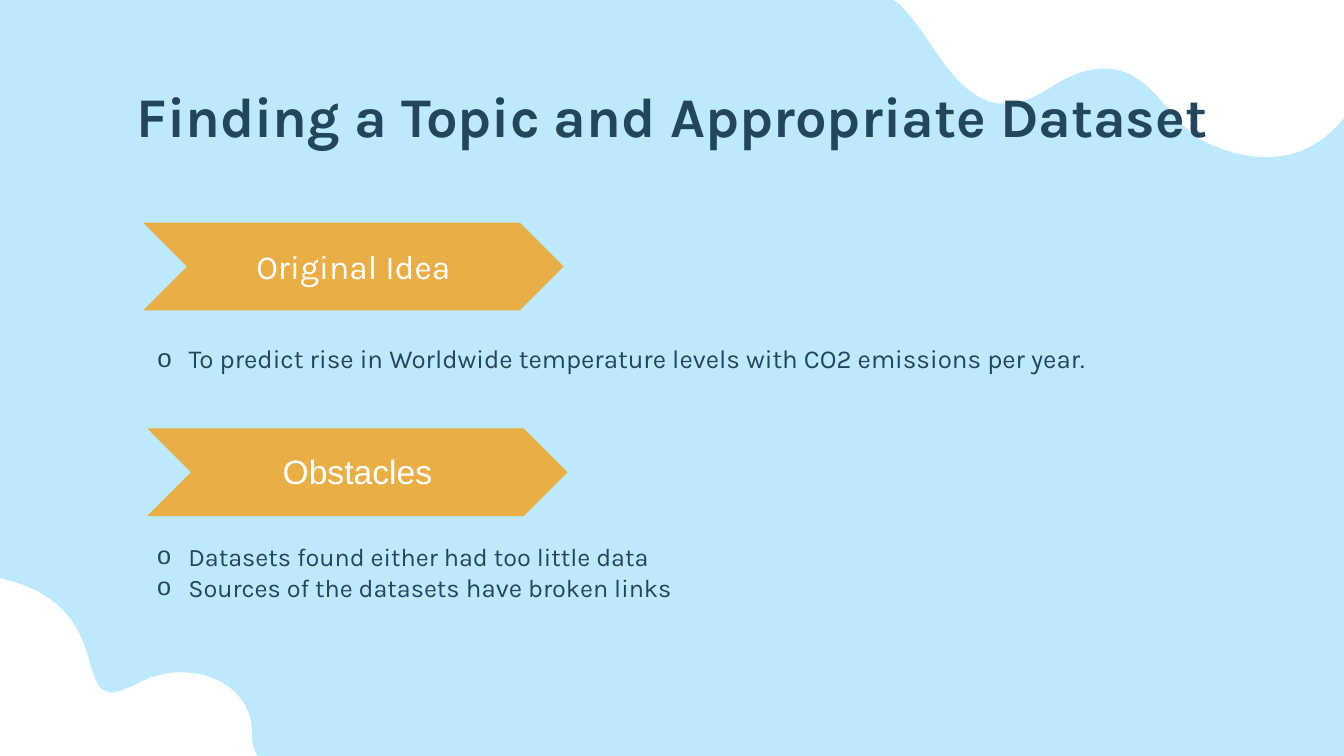
from lxml import etree
from pptx import Presentation
from pptx.dml.color import RGBColor
from pptx.enum.shapes import MSO_SHAPE
from pptx.enum.text import MSO_ANCHOR, MSO_AUTO_SIZE, PP_ALIGN
from pptx.oxml.ns import qn
from pptx.util import Inches, Pt

CHEVRON = MSO_SHAPE.CHEVRON
MIDDLE = MSO_ANCHOR.MIDDLE
NO_AUTOFIT = MSO_AUTO_SIZE.NONE
CENTER = PP_ALIGN.CENTER
LEFT = PP_ALIGN.LEFT
TITLE_ONLY = 5
SKY, NAVY, AMBER, WHITE = "BDE9FC", "23455E", "E9AF46", "FFFFFF"
BULLET_INDENT = 0.31

TOP_CLOUD_START = (12.56, 1.56)
TOP_CLOUD = [
    [(13.6, 1.56), (13.79, 0), (13.79, 0)],
    [(8.86, 0)],
    [(8.87, 0), (8.96, 0.03), (9.24, 0.45)],
    [(9.48, 0.82), (9.7, 1.03), (9.97, 1.03)],
    [(10.1, 1.03), (10.24, 0.98), (10.4, 0.88)],
    [(10.62, 0.73), (10.81, 0.68), (10.96, 0.68)],
    [(11.44, 0.68), (11.61, 1.25), (11.96, 1.41)],
    [(12.19, 1.52), (12.39, 1.56), (12.56, 1.56)],
]
BOTTOM_CLOUD_START = (-0.88, 5.65)
BOTTOM_CLOUD = [
    [(-1.29, 5.65), (-1.62, 5.7), (-1.62, 5.7)],
    [(-0.62, 7.94)],
    [(3.02, 7.94)],
    [(3.2, 7.94), (3.23, 7.69), (3.06, 7.65)],
    [(2.79, 7.57), (2.5, 7.67), (2.5, 7.29)],
    [(2.51, 6.9), (2.17, 6.67), (1.8, 6.67)],
    [(1.65, 6.67), (1.49, 6.71), (1.35, 6.79)],
    [(1.24, 6.84), (1.16, 6.87), (1.11, 6.87)],
    [(0.83, 6.87), (0.98, 6.32), (0.53, 5.97)],
    [(0.21, 5.71), (-0.39, 5.65), (-0.88, 5.65)],
]


def color(value):
    """Return the colour for a hex string."""
    return RGBColor.from_string(value)


def set_attributes(target, values):
    """Set each named value on the target."""
    for name, value in values.items():
        setattr(target, name, value)


def format_frame(frame, sides=0.13, bottom=0.13):
    """Give a text frame its margins, wrapping and middle anchor."""
    set_attributes(frame, {
        "word_wrap": True, "auto_size": NO_AUTOFIT, "vertical_anchor": MIDDLE,
        "margin_left": Inches(sides), "margin_right": Inches(sides),
        "margin_top": Inches(min(sides, bottom)), "margin_bottom": Inches(bottom),
    })


def add_run(paragraph, text, size, hex_color, name="Karla", bold=False):
    """Append one formatted run to a paragraph."""
    run = paragraph.add_run()
    run.text = text
    set_attributes(run.font, {"size": Pt(size), "name": name, "bold": bold})
    run.font.color.rgb = color(hex_color)


def paint(shape, hex_color):
    """Fill a shape flat, without outline or shadow."""
    shape.shadow.inherit = False
    shape.fill.solid()
    shape.fill.fore_color.rgb = color(hex_color)
    shape.line.fill.background()


def add_cloud(slide, start, segments):
    """Draw a white cloud, turning each group of three points into a curve."""
    builder = slide.shapes.build_freeform(*map(Inches, start))
    builder.add_line_segments(
        [(Inches(x), Inches(y)) for segment in segments for x, y in segment], close=True)
    cloud = builder.convert_to_shape()
    lines = iter(list(cloud._element.iter(qn("a:lnTo"))))
    for segment in segments:
        group = [next(lines) for _ in segment]
        if len(group) == 3:
            curve = etree.Element(qn("a:cubicBezTo"))
            group[0].addprevious(curve)
            for line in group:
                curve.append(line[0])
                line.getparent().remove(line)
    paint(cloud, WHITE)


def add_title(slide, text, left, top, width, height):
    """Format the title placeholder and bring it in front of the clouds."""
    title = slide.shapes.title
    set_attributes(title, {
        "left": Inches(left), "top": Inches(top),
        "width": Inches(width), "height": Inches(height),
    })
    title._element.getparent().append(title._element)
    format_frame(title.text_frame)
    paragraph = title.text_frame.paragraphs[0]
    set_attributes(paragraph, {"alignment": CENTER, "line_spacing": 0.8})
    add_run(paragraph, text, 40, NAVY, bold=True)


def add_banner(slide, text, font_name, left, top, width=4.17, height=0.87):
    """Draw a chevron heading."""
    banner = slide.shapes.add_shape(
        CHEVRON, Inches(left), Inches(top), Inches(width), Inches(height))
    paint(banner, AMBER)
    format_frame(banner.text_frame, bottom=0.15)
    paragraph = banner.text_frame.paragraphs[0]
    paragraph.alignment = CENTER
    add_run(paragraph, text, 24, WHITE, font_name)


def add_bullet(paragraph):
    """Give a paragraph a hanging round bullet."""
    properties = paragraph._p.get_or_add_pPr()
    properties.set("marL", str(Inches(BULLET_INDENT)))
    properties.set("indent", str(-Inches(BULLET_INDENT)))
    bullet_color = etree.SubElement(properties, qn("a:buClr"))
    etree.SubElement(bullet_color, qn("a:srgbClr")).set("val", NAVY)
    etree.SubElement(properties, qn("a:buFont")).set("typeface", "Arial")
    etree.SubElement(properties, qn("a:buChar")).set("char", "o")


def add_bullets(slide, items, left, top, width, height, sides, bottom):
    """Write a bulleted list whose items are lists of text and size pairs."""
    box = slide.shapes.add_textbox(
        Inches(left), Inches(top), Inches(width), Inches(height))
    frame = box.text_frame
    format_frame(frame, sides, bottom)
    for index, runs in enumerate(items):
        paragraph = frame.add_paragraph() if index else frame.paragraphs[0]
        paragraph.alignment = LEFT
        add_bullet(paragraph)
        for text, size in runs:
            add_run(paragraph, text, size, NAVY)


def build_topic_slide(presentation):
    """Build the slide about the topic and the dataset."""
    slide = presentation.slides.add_slide(presentation.slide_layouts[TITLE_ONLY])
    slide.background.fill.solid()
    slide.background.fill.fore_color.rgb = color(SKY)
    add_cloud(slide, TOP_CLOUD_START, TOP_CLOUD)
    add_cloud(slide, BOTTOM_CLOUD_START, BOTTOM_CLOUD)
    add_title(slide, "Finding a Topic and Appropriate Dataset", 0, 0.73, 13.33, 0.94)
    add_banner(slide, "Original Idea", "Karla", 1.42, 2.21)
    idea = "To predict rise in Worldwide temperature levels with CO2 emissions per year."
    add_bullets(slide, [[(idea, 18.5)]], 1.43, 3.29, 10.21, 0.53, 0.13, 0.13)
    add_banner(slide, "Obstacles", "Arial", 1.46, 4.25)
    obstacles = [
        [("Datasets found either had too little data ", 18)],
        [("Sources of the datasets ", 18), ("have", 18.5), (" broken links", 18)],
    ]
    add_bullets(slide, obstacles, 1.46, 5.31, 10.84, 0.72, 0.1, 0.05)


def main():
    """Create and save the presentation."""
    presentation = Presentation()
    presentation.slide_width = Inches(13.33)
    presentation.slide_height = Inches(7.5)
    build_topic_slide(presentation)
    presentation.save("out.pptx")


if __name__ == "__main__":
    main()
